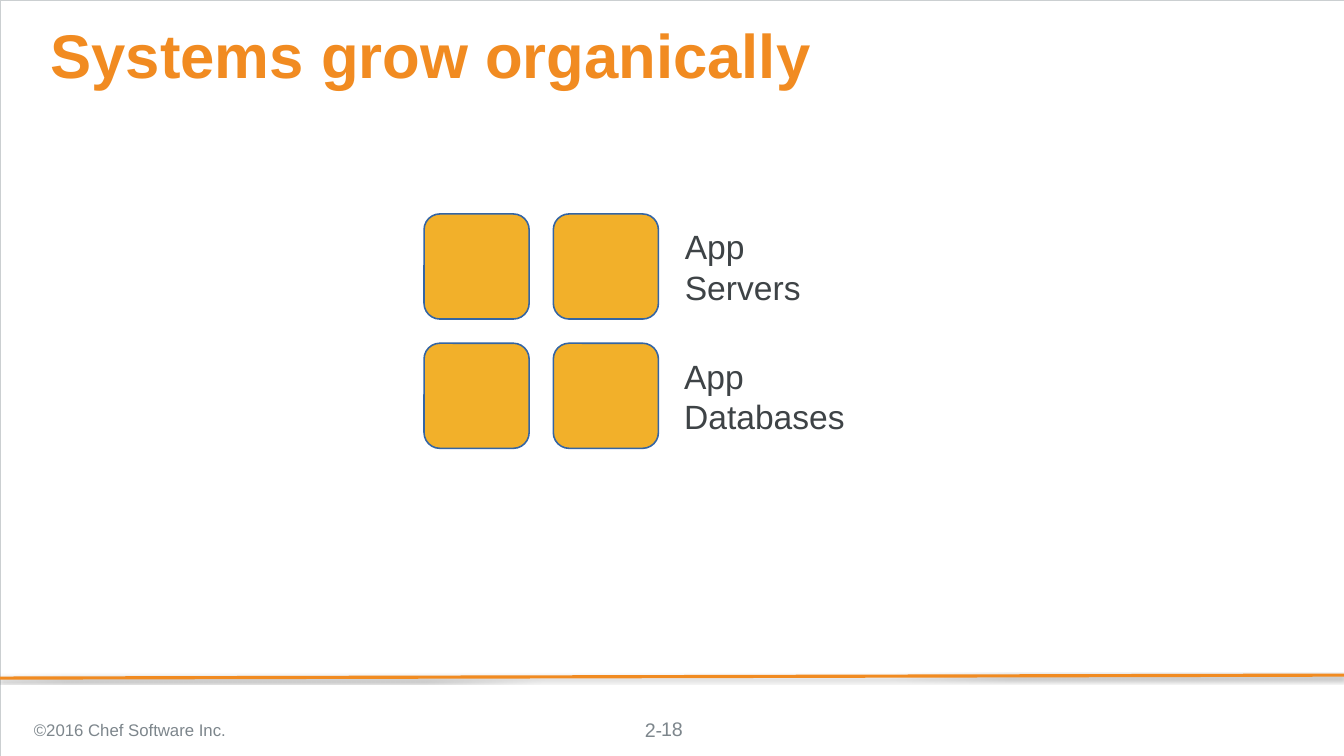
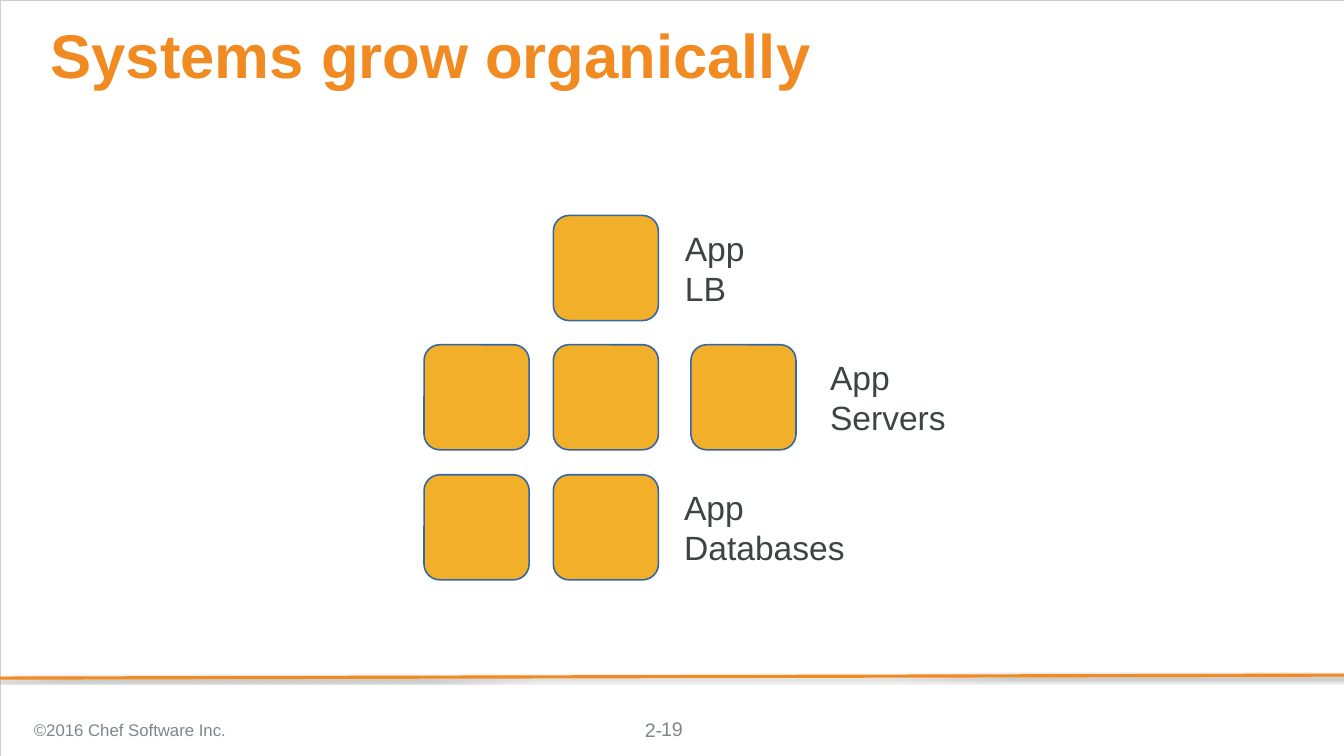
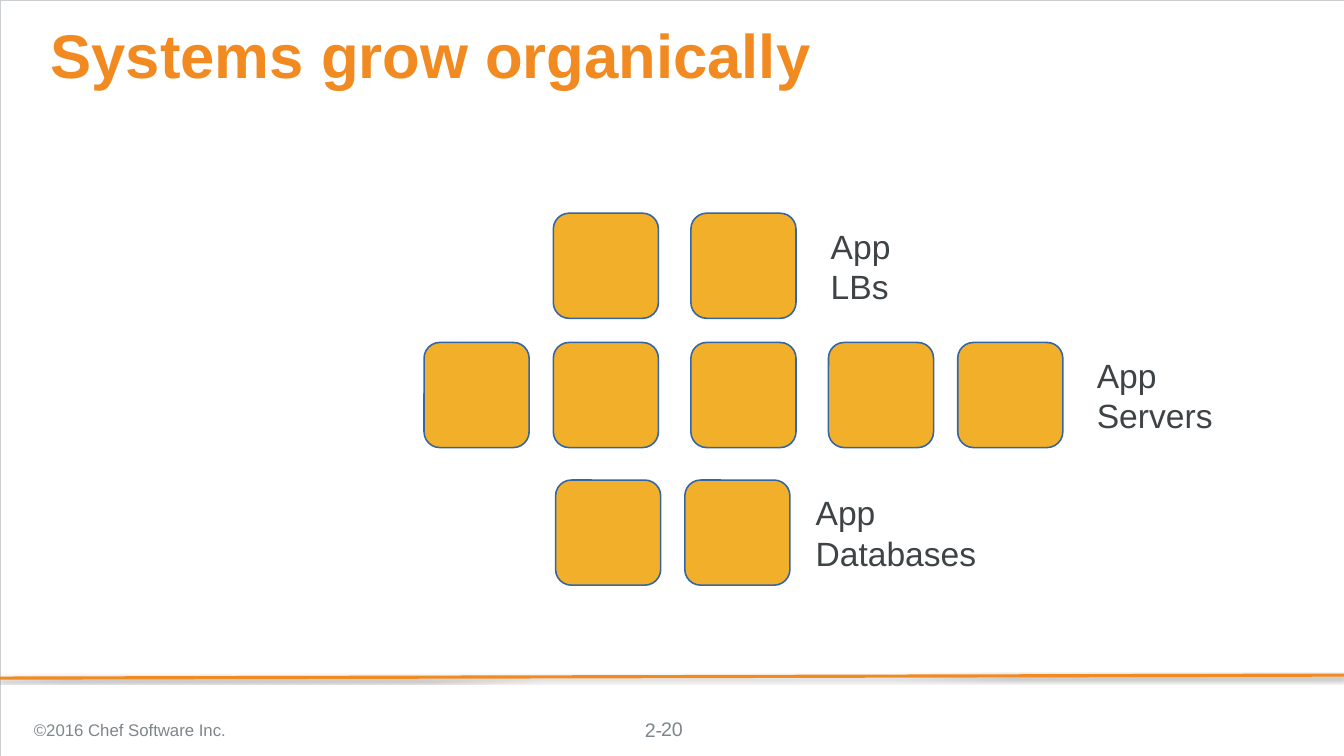
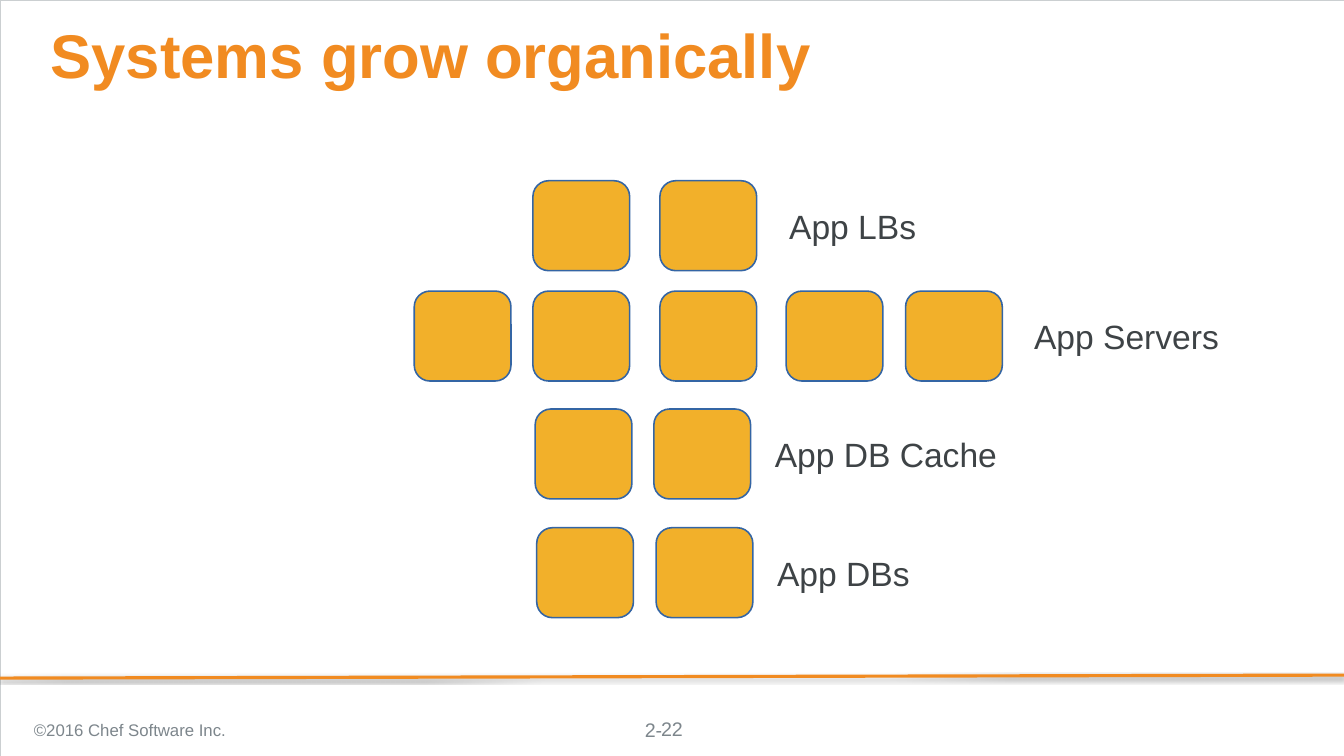
from dataclasses import dataclass

from lxml import etree
from pptx import Presentation
from pptx.dml.color import RGBColor
from pptx.enum import shapes, text
from pptx.oxml import ns
from pptx.util import Inches, Pt

ORANGE = RGBColor(0xF1, 0x8B, 0x21)
AMBER = RGBColor(0xF2, 0xB0, 0x2A)
BLUE = RGBColor(0x34, 0x65, 0xA4)
DARK = RGBColor(0x3E, 0x43, 0x46)
GREY = RGBColor(0x7D, 0x86, 0x8C)
BORDER = RGBColor(0xCB, 0xCF, 0xD1)

FONT = "Arial"
WIDTH, HEIGHT = 17.78, 10
TITLE = "Systems grow organically"
COPYRIGHT = "©2016 Chef Software Inc."
CHAPTER = "2-"
LABEL_HEIGHT = 0.58
LABEL_INSET = 0.04

SHADOW = (
    f'<a:effectLst {ns.nsdecls("a")}>'
    '<a:outerShdw blurRad="40000" dist="23000" dir="5400000" rotWithShape="0">'
    '<a:srgbClr val="000000"><a:alpha val="35000"/></a:srgbClr>'
    "</a:outerShdw></a:effectLst>"
)


@dataclass(frozen=True)
class TextStyle:
    size: float
    color: RGBColor
    bold: bool = False
    align: text.PP_ALIGN = text.PP_ALIGN.LEFT
    anchor: text.MSO_ANCHOR = text.MSO_ANCHOR.MIDDLE
    inset_x: float = 0.1
    inset_y: float = 0.05
    spacing: float = 1.0


@dataclass(frozen=True)
class Server:
    width: float
    height: float
    corner: float


@dataclass(frozen=True)
class Tier:
    label: str
    top: float
    lefts: tuple[float, ...]
    label_left: float
    label_width: float


@dataclass(frozen=True)
class Stage:
    page: int
    server: Server
    tiers: tuple[Tier, ...]


TITLE_STYLE = TextStyle(58.7, ORANGE, bold=True, anchor=text.MSO_ANCHOR.TOP,
                        inset_x=0, inset_y=0, spacing=0.9)
LABEL_STYLE = TextStyle(32, DARK, inset_x=LABEL_INSET, inset_y=LABEL_INSET)
CHAPTER_STYLE = TextStyle(18.7, GREY, anchor=text.MSO_ANCHOR.TOP,
                          inset_x=0.04, inset_y=0)
PAGE_STYLE = TextStyle(18.7, GREY, align=text.PP_ALIGN.CENTER)
COPYRIGHT_STYLE = TextStyle(16, GREY)

LARGE = Server(1.39, 1.39, 0.15)
SMALL = Server(1.28, 1.19, 0.175)
LARGE_COLS = (5.61, 7.32, 9.14, 10.96, 12.67)
SMALL_COLS = (5.48, 7.05, 8.73, 10.4, 11.98)

STAGES = (
    Stage(18, LARGE, (
        Tier("App Servers", 2.83, LARGE_COLS[:2], 9.02, 2.31),
        Tier("App Databases", 4.54, LARGE_COLS[:2], 9.01, 2.79),
    )),
    Stage(19, LARGE, (
        Tier("App LB", 2.85, LARGE_COLS[1:2], 9.02, 1.43),
        Tier("App Servers", 4.56, LARGE_COLS[:3], 10.94, 2.31),
        Tier("App Databases", 6.28, LARGE_COLS[:2], 9.01, 2.79),
    )),
    Stage(20, LARGE, (
        Tier("App LBs", 2.82, LARGE_COLS[1:3], 10.95, 1.6),
        Tier("App Servers", 4.53, LARGE_COLS, 14.47, 2.31),
        Tier("App Databases", 6.35, (7.35, 9.06), 10.75, 2.79),
    )),
    Stage(22, SMALL, (
        Tier("App LBs", 2.39, SMALL_COLS[1:3], 10.4, 2.01),
        Tier("App Servers", 3.85, SMALL_COLS, 13.64, 2.94),
        Tier("App DB Cache", 5.41, (7.08, 8.65), 10.21, 4.63),
        Tier("App DBs", 6.98, (7.1, 8.68), 10.24, 5.03),
    )),
)


def add_text(slide, content: str, left: float, top: float, width: float,
             height: float, style: TextStyle) -> None:
    box = slide.shapes.add_textbox(Inches(left), Inches(top),
                                   Inches(width), Inches(height))
    tf = box.text_frame
    tf.text = content
    tf.word_wrap = True
    tf.vertical_anchor = style.anchor
    tf.margin_left = tf.margin_right = Inches(style.inset_x)
    tf.margin_top = tf.margin_bottom = Inches(style.inset_y)
    p = tf.paragraphs[0]
    p.alignment = style.align
    p.line_spacing = style.spacing
    font = p.runs[0].font
    font.name = FONT
    font.size = Pt(style.size)
    font.bold = style.bold
    font.color.rgb = style.color


def add_frame(slide) -> None:
    border = slide.shapes.add_shape(shapes.MSO_SHAPE.RECTANGLE, 0, 0,
                                    Inches(WIDTH), Inches(HEIGHT))
    border.shadow.inherit = False
    border.fill.background()
    border.line.color.rgb = BORDER
    border.line.width = Pt(0.25)

    rule = slide.shapes.add_connector(shapes.MSO_CONNECTOR.STRAIGHT,
                                      Inches(WIDTH), Inches(8.93),
                                      Inches(0), Inches(8.97))
    rule.line.color.rgb = ORANGE
    rule.line.width = Pt(3)
    rule._element.spPr.append(etree.fromstring(SHADOW))


def add_tier(slide, tier: Tier, server: Server) -> None:
    for left in tier.lefts:
        sp = slide.shapes.add_shape(
            shapes.MSO_SHAPE.ROUNDED_RECTANGLE, Inches(left), Inches(tier.top),
            Inches(server.width), Inches(server.height))
        sp.adjustments[0] = server.corner
        sp.shadow.inherit = False
        sp.fill.solid()
        sp.fill.fore_color.rgb = AMBER
        sp.line.color.rgb = BLUE
        sp.line.width = Pt(1.5)
    label_top = tier.top + (server.height - LABEL_HEIGHT) / 2
    add_text(slide, tier.label, tier.label_left, label_top,
             tier.label_width, LABEL_HEIGHT, LABEL_STYLE)


def add_stage(prs, stage: Stage) -> None:
    slide = prs.slides.add_slide(prs.slide_layouts[6])
    add_frame(slide)
    add_text(slide, CHAPTER, 8.49, 9.49, 0.8, 0.31, CHAPTER_STYLE)
    for tier in stage.tiers:
        add_tier(slide, tier, stage.server)
    add_text(slide, TITLE, 0.67, 0.33, 16.33, 0.91, TITLE_STYLE)
    add_text(slide, str(stage.page), 6.89, 9.38, 4, 0.53, PAGE_STYLE)
    add_text(slide, COPYRIGHT, 0.35, 9.38, 6.21, 0.56, COPYRIGHT_STYLE)


def main() -> None:
    prs = Presentation()
    prs.slide_width = Inches(WIDTH)
    prs.slide_height = Inches(HEIGHT)
    for stage in STAGES:
        add_stage(prs, stage)
    prs.save("out.pptx")


if __name__ == "__main__":
    main()
